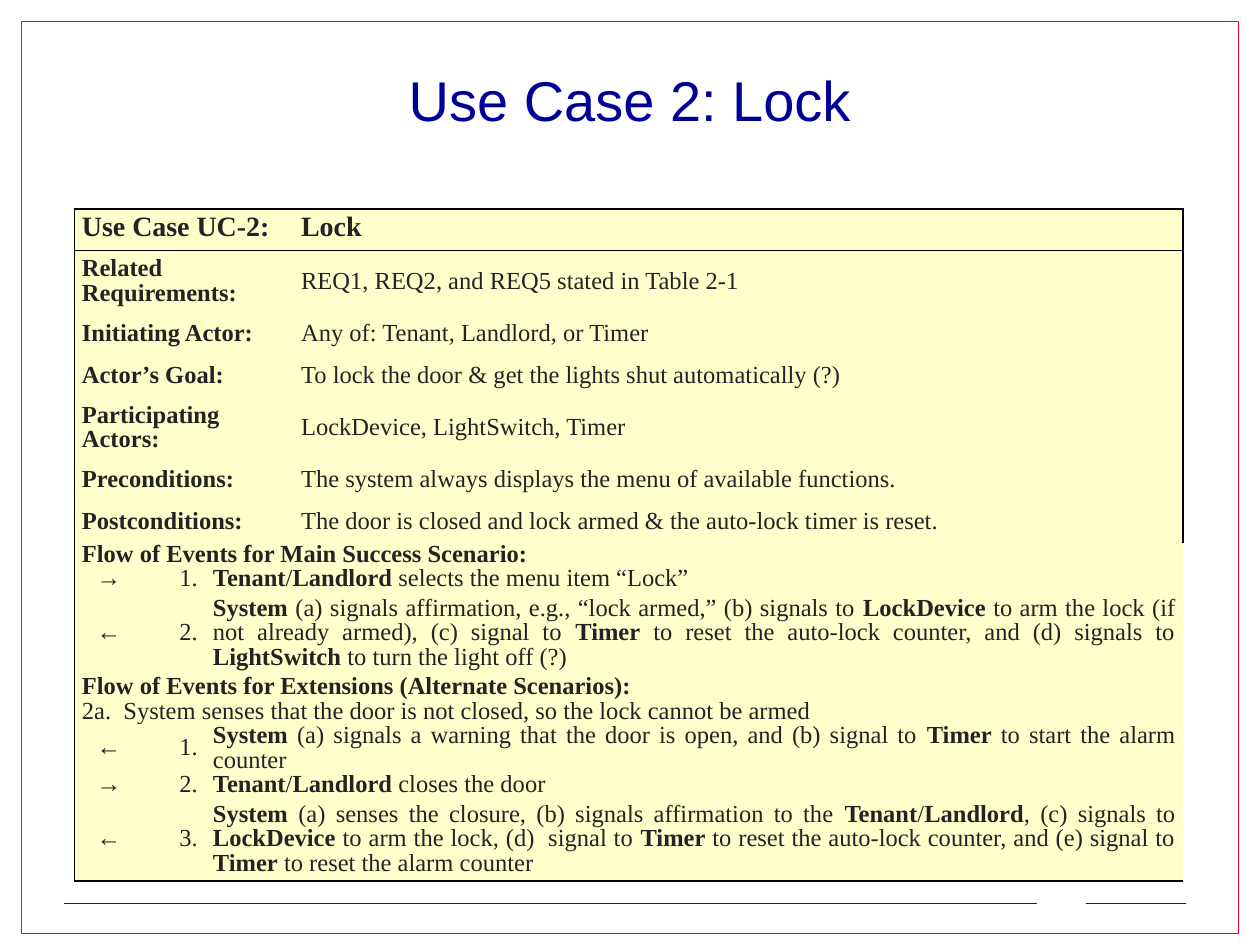
from dataclasses import dataclass

from lxml.etree import SubElement
from pptx import Presentation
from pptx.dml.color import RGBColor
from pptx.enum.shapes import MSO_CONNECTOR as Connector, MSO_SHAPE as Shape
from pptx.enum.text import MSO_ANCHOR as Anchor, PP_ALIGN as Align
from pptx.oxml.ns import qn
from pptx.util import Inches, Pt


@dataclass(frozen=True)
class Theme:
    title_font: str = "Arial"
    body_font: str = "Times New Roman"
    title_size: int = 32
    heading_size: int = 16
    body_size: int = 14
    line_spacing: int = 14
    title_color: str = "000099"
    ink: str = "232323"
    frame: str = "FC0128"
    cell_fill: str = "FFFFCC"
    border: str = "000000"


def color(value):
    return RGBColor.from_string(value)


def write_text(text_frame, text, *, font, size, ink, align=Align.LEFT,
               spacing=None, before=0):
    """Write one paragraph; parts between ** marks are bold."""
    para = text_frame.paragraphs[0]
    para.alignment = align
    para.space_before = Pt(before)
    if spacing:
        para.line_spacing = Pt(spacing)
    for index, part in enumerate(text.split("**")):
        if part:
            span = para.add_run()
            span.text = part
            span.font.name = font
            span.font.size = Pt(size)
            span.font.bold = index % 2 == 1
            span.font.color.rgb = color(ink)


class SlideBuilder:
    def __init__(self, slide, theme):
        self.slide = slide
        self.theme = theme

    def title(self, text, left, top, width, height):
        box = self.slide.shapes.title
        box.left, box.top = Inches(left), Inches(top)
        box.width, box.height = Inches(width), Inches(height)
        box.text_frame.vertical_anchor = Anchor.MIDDLE
        write_text(box.text_frame, text, font=self.theme.title_font,
                   size=self.theme.title_size, ink=self.theme.title_color,
                   align=Align.CENTER)

    def frame(self, left, top, width, height):
        box = self.slide.shapes.add_shape(
            Shape.RECTANGLE, Inches(left), Inches(top), Inches(width), Inches(height))
        box.shadow.inherit = False
        box.fill.background()
        box.line.color.rgb = color(self.theme.frame)
        box.line.width = Pt(1)

    def rule(self, start, end, y):
        line = self.slide.shapes.add_connector(
            Connector.STRAIGHT, Inches(start), Inches(y), Inches(end), Inches(y))
        line.line.color.rgb = color(self.theme.ink)
        line.line.width = Pt(1)
        SubElement(line._element.spPr, qn("a:effectLst"))

    def table(self, left, top, columns, heights):
        holder = self.slide.shapes.add_table(
            len(heights), len(columns), Inches(left), Inches(top),
            Inches(sum(columns)), Inches(sum(heights)))
        table = holder.table
        table.first_row = table.horz_banding = False
        for column, width in zip(table.columns, columns):
            column.width = Inches(width)
        for row, height in zip(table.rows, heights):
            row.height = Inches(height)
        last_row, last_column = len(heights) - 1, len(columns) - 1
        for r in range(len(heights)):
            for c in range(len(columns)):
                cell = table.cell(r, c)
                self.borders(cell, L=c == 0, R=c == last_column,
                             T=r in (0, 1), B=r in (0, last_row))
                cell.fill.solid()
                cell.fill.fore_color.rgb = color(self.theme.cell_fill)
        return table

    def borders(self, cell, **sides):
        properties = cell._tc.get_or_add_tcPr()
        for side, visible in sides.items():
            line = SubElement(properties, qn(f"a:ln{side}"), w=str(Pt(1)))
            if visible:
                fill = SubElement(line, qn("a:solidFill"))
                SubElement(fill, qn("a:srgbClr"), val=self.theme.border)
            else:
                SubElement(line, qn("a:noFill"))

    def cell(self, table, row, first, last, text, *, size=None,
             align=Align.JUSTIFY, before=0):
        cell = table.cell(row, first)
        if last > first:
            cell.merge(table.cell(row, last))
        cell.vertical_anchor = Anchor.MIDDLE
        cell.margin_left = cell.margin_right = Inches(0.06)
        cell.margin_top = cell.margin_bottom = 0
        write_text(cell.text_frame, text, font=self.theme.body_font,
                   size=size or self.theme.body_size, ink=self.theme.ink,
                   align=align, spacing=self.theme.line_spacing, before=before)


# Each row: height, then its texts (two: field, one: full line, three: step)
ROWS = [
    (0.33, "**Use Case UC-2:**", "**Lock**"),
    (0.5, "**Related Requirements:**", "REQ1, REQ2, and REQ5 stated in Table 2-1"),
    (0.33, "**Initiating Actor:**", "Any of: Tenant, Landlord, or Timer"),
    (0.33, "**Actor’s Goal:**", "To lock the door & get the lights shut automatically (?)"),
    (0.5, "**Participating Actors:**", "LockDevice, LightSwitch, Timer"),
    (0.33, "**Preconditions:**",
     "The system always displays the menu of available functions."),
    (0.33, "**Postconditions:**",
     "The door is closed and lock armed & the auto-lock timer is reset."),
    (0.19, "**Flow of Events for Main Success Scenario:**"),
    (0.19, "→", "1.", "**Tenant**/**Landlord** selects the menu item “Lock”"),
    (0.66, "←", "2.",
     "**System** (a) signals affirmation, e.g., “lock armed,” (b) signals to "
     "**LockDevice** to arm the lock (if not already armed), (c) signal to **Timer** "
     "to reset the auto-lock counter, and (d) signals to **LightSwitch** "
     "to turn the light off (?)"),
    (0.19, "**Flow of Events for Extensions (Alternate Scenarios):**"),
    (0.19, "2a.  System senses that the door is not closed, so the lock cannot be armed"),
    (0.39, "←", "1.",
     "**System** (a) signals a warning that the door is open, and (b) signal to "
     "**Timer** to start the alarm counter"),
    (0.19, "→", "2.", "**Tenant**/**Landlord** closes the door"),
    (0.66, "←", "3.",
     "**System** (a) senses the closure, (b) signals affirmation to the "
     "**Tenant**/**Landlord**, (c) signals to **LockDevice** to arm the lock, "
     "(d)  signal to **Timer** to reset the auto-lock counter, and (e) signal to "
     "**Timer** to reset the alarm counter"),
]


def main():
    deck = Presentation()
    deck.slide_width, deck.slide_height = Inches(10), Inches(7.5)
    theme = Theme()
    page = SlideBuilder(deck.slides.add_slide(deck.slide_layouts[5]), theme)

    # Page frame, footer rules and title
    page.frame(0.17, 0.17, 9.66, 7.24)
    for start, end in ((0.51, 1.92), (1.85, 8.23), (8.62, 9.41)):
        page.rule(start, end, 7.17)
    page.title("Use Case 2: Lock", 0.75, 0.5, 8.5, 0.58)

    # Use case table
    table = page.table(0.59, 1.66, [0.55, 0.49, 0.7, 7.06], [row[0] for row in ROWS])
    for index, (_, *texts) in enumerate(ROWS):
        if len(texts) == 1:
            before = 4 if texts[0].startswith("**") else 0
            page.cell(table, index, 0, 3, texts[0], before=before)
        elif len(texts) == 2:
            style = {"before": 3}
            if index == 0:
                style = {"before": 6, "size": theme.heading_size, "align": Align.LEFT}
            page.cell(table, index, 0, 2, texts[0], **style)
            page.cell(table, index, 3, 3, texts[1], **style)
        else:
            arrow, number, step = texts
            page.cell(table, index, 0, 0, arrow, align=Align.CENTER)
            page.cell(table, index, 1, 1, number, align=Align.RIGHT)
            page.cell(table, index, 2, 3, step)

    deck.save("out.pptx")


if __name__ == "__main__":
    main()
